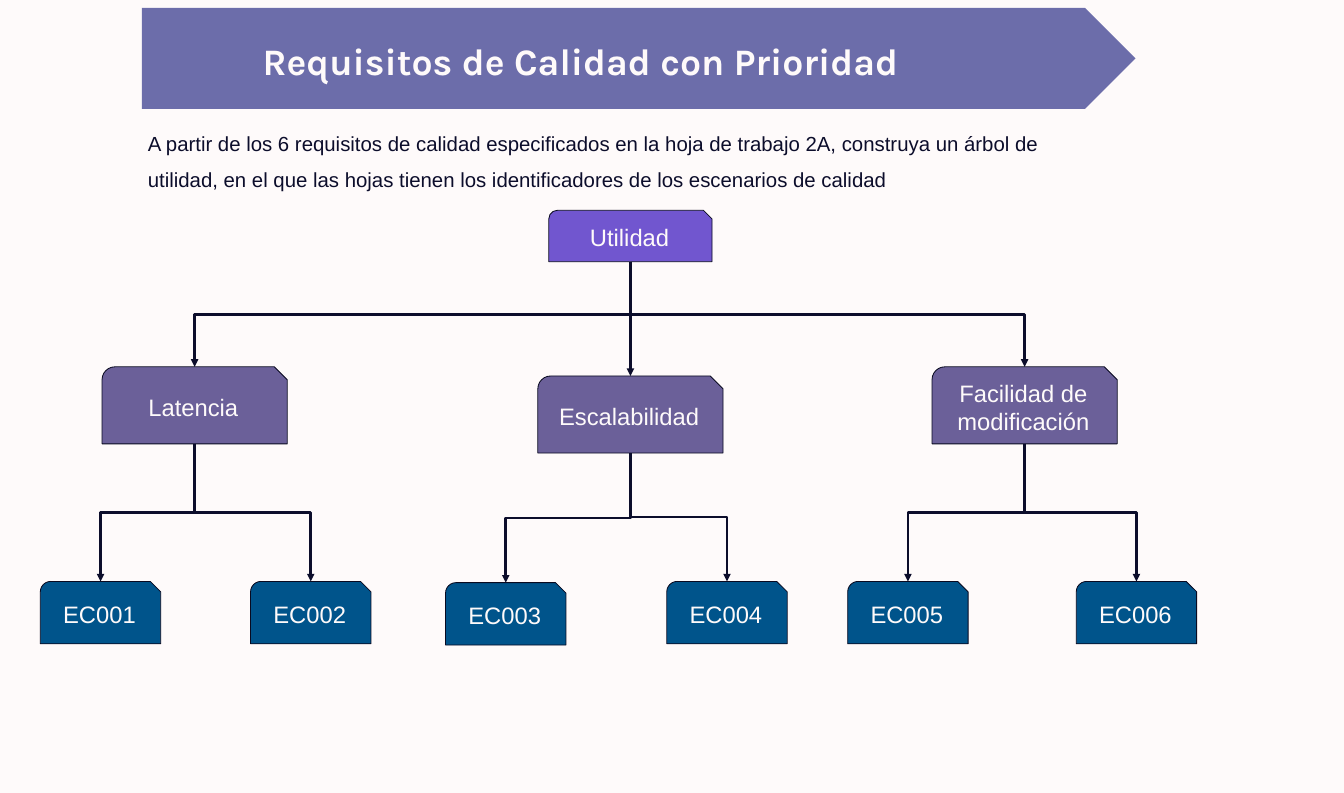
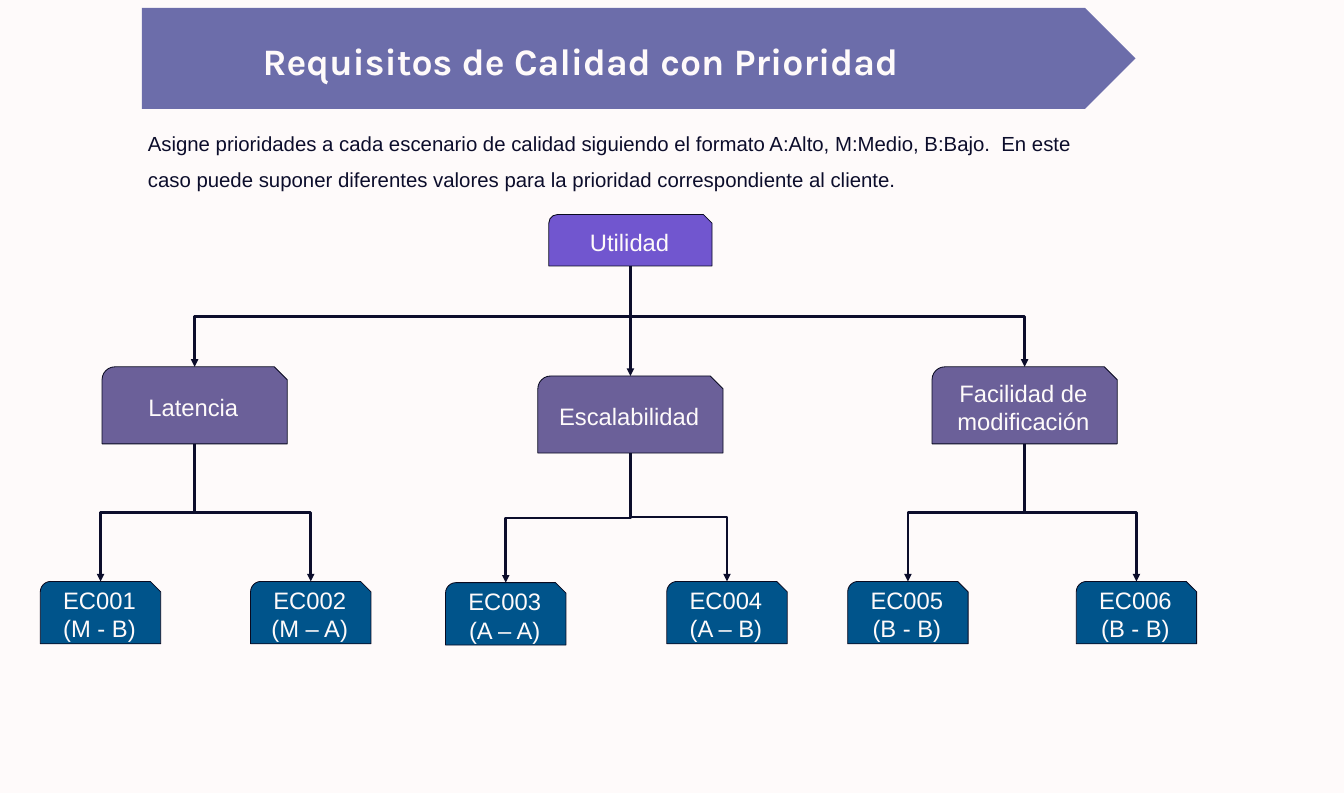
import lxml.etree
import pptx
import pptx.dml.color
import pptx.enum.shapes
import pptx.enum.text
import pptx.oxml.ns
import pptx.util

RGBColor = pptx.dml.color.RGBColor
MSO_SHAPE = pptx.enum.shapes.MSO_SHAPE
MSO_CONNECTOR = pptx.enum.shapes.MSO_CONNECTOR
qn = pptx.oxml.ns.qn

EMU_PER_PX = 9144  # 100 px to the inch
SLIDE_WIDTH, SLIDE_HEIGHT = 2199, 1297

# Colours and fonts
LIGHT = RGBColor(0xFE, 0xFA, 0xFA)
INK = RGBColor(0x0C, 0x0D, 0x2B)
OUTLINE = RGBColor(0x09, 0x0A, 0x20)
BAND = RGBColor(0x25, 0x28, 0x84)
ROOT_FILL = RGBColor(0x71, 0x56, 0xCF)
QUALITY_FILL = RGBColor(0x6B, 0x60, 0x99)
SCENARIO_FILL = RGBColor(0x00, 0x54, 0x8B)
BAND_OPACITY = 67
TITLE_FONT, BODY_FONT = "Karla", "Arial"

# Node sizes and connection sites of the snipped rectangle
ROOT_SIZE = (267, 84)
QUALITY_SIZE = (303, 126)
SCENARIO_SIZE = (197, 102)
BOTTOM_SITE, TOP_SITE = 1, 3

TITLE = "Requisitos de Calidad con Prioridad"

# Each quality: name, left, top, scenarios (name, left, top)
QUALITIES = [
    ("Latencia", 167, 600, [("EC001", 66, 951), ("EC002", 410, 951)]),
    ("Escalabilidad", 880, 615, [("EC003", 729, 953), ("EC004", 1091, 951)]),
    ("Facilidad de modificación", 1525, 600,
     [("EC005", 1387, 951), ("EC006", 1761, 951)]),
]
PRIORITIES = {
    "EC001": "(M - B)", "EC002": "(M – A)", "EC003": "(A – A)",
    "EC004": "(A – B)", "EC005": "(B - B)", "EC006": "(B - B)",
}

# Each slide: instruction, top of the root node, scenario priorities
SLIDES = [
    ("A partir de los 6 requisitos de calidad especificados en la hoja de "
     "trabajo 2A, construya un árbol de utilidad, en el que las hojas tienen "
     "los identificadores de los escenarios de calidad", 344, {}),
    ("Asigne prioridades a cada escenario de calidad siguiendo el formato "
     "A:Alto, M:Medio, B:Bajo.  En este caso puede suponer diferentes valores "
     "para la prioridad correspondiente al cliente.", 351, PRIORITIES),
]


def px(*lengths):
    return [pptx.util.Emu(length * EMU_PER_PX) for length in lengths]


def format_runs(paragraph, font_name, size, color, bold=False):
    for run in paragraph.runs:
        run.font.name = font_name
        run.font.size = pptx.util.Pt(size)
        run.font.color.rgb = color
        run.font.bold = bold


def add_text(slide, box, text, font_name, size, color, bold=False):
    text_frame = slide.shapes.add_textbox(*px(*box)).text_frame
    text_frame.word_wrap = True
    text_frame.text = text
    paragraph = text_frame.paragraphs[0]
    format_runs(paragraph, font_name, size, color, bold)
    return paragraph


def add_title_band(slide):
    band = slide.shapes.add_shape(MSO_SHAPE.PENTAGON, *px(232, 13, 1626, 165))
    band.shadow.inherit = False
    band.fill.solid()
    band.fill.fore_color.rgb = BAND
    band.line.fill.background()
    color = band.element.spPr.find(qn("a:solidFill")).find(qn("a:srgbClr"))
    alpha = lxml.etree.SubElement(color, qn("a:alpha"))
    alpha.set("val", str(BAND_OPACITY * 1000))
    add_text(slide, (420, 57, 1063, 84), TITLE, TITLE_FONT, 44, LIGHT, True)


def add_instruction(slide, text):
    paragraph = add_text(slide, (232, 189, 1542, 124), text, BODY_FONT, 24, INK)
    paragraph.line_spacing = 1.5
    paragraph.space_before = pptx.util.Pt(6)


def add_node(slide, left, top, size, fill, text):
    node = slide.shapes.add_shape(
        MSO_SHAPE.SNIP_ROUND_RECTANGLE, *px(left, top, *size))
    node.shadow.inherit = False
    node.fill.solid()
    node.fill.fore_color.rgb = fill
    node.line.color.rgb = OUTLINE
    node.line.width = pptx.util.Pt(1)
    node.text_frame.word_wrap = True
    node.text_frame.vertical_anchor = pptx.enum.text.MSO_ANCHOR.MIDDLE
    node.text_frame.text = text
    for paragraph in node.text_frame.paragraphs:
        paragraph.alignment = pptx.enum.text.PP_ALIGN.CENTER
        format_runs(paragraph, BODY_FONT, 28, LIGHT)
    return node


def turn_downwards(connector, start_x, start_y, end_x, end_y):
    """Rotate an elbow so that it leaves and arrives vertically."""
    drop, spread = end_y - start_y, abs(end_x - start_x)
    connector.left = (start_x + end_x - drop) // 2
    connector.top = (start_y + end_y - spread) // 2
    connector.width, connector.height = drop, spread
    frame = connector.element.spPr.find(qn("a:xfrm"))
    goes_right = end_x > start_x
    frame.set("rot", str((270 if goes_right else 90) * 60000))
    frame.set("flipH", "1" if goes_right else "0")
    frame.set("flipV", "0")


def connect(slide, parent, child):
    start = (parent.left + parent.width // 2, parent.top + parent.height)
    end = (child.left + child.width // 2, child.top)
    aligned = start[0] == end[0]
    kind = MSO_CONNECTOR.STRAIGHT if aligned else MSO_CONNECTOR.ELBOW
    connector = slide.shapes.add_connector(kind, *start, *end)
    connector.begin_connect(parent, BOTTOM_SITE)
    connector.end_connect(child, TOP_SITE)
    # Gluing shifts the ends, so place them again
    if aligned:
        connector.begin_x, connector.begin_y = start
        connector.end_x, connector.end_y = end
    else:
        turn_downwards(connector, *start, *end)
    connector.line.color.rgb = INK
    connector.line.width = pptx.util.Pt(3)
    properties = connector.element.spPr
    arrowhead = lxml.etree.SubElement(
        properties.find(qn("a:ln")), qn("a:tailEnd"))
    arrowhead.set("type", "triangle")
    lxml.etree.SubElement(properties, qn("a:effectLst"))


def add_utility_tree(slide, root_top, priorities):
    root = add_node(slide, 898, root_top, ROOT_SIZE, ROOT_FILL, "Utilidad")
    for name, left, top, scenarios in QUALITIES:
        quality = add_node(slide, left, top, QUALITY_SIZE, QUALITY_FILL, name)
        connect(slide, root, quality)
        for code, scenario_left, scenario_top in scenarios:
            label = f"{code}\n{priorities[code]}" if priorities else code
            scenario = add_node(slide, scenario_left, scenario_top,
                                SCENARIO_SIZE, SCENARIO_FILL, label)
            connect(slide, quality, scenario)


def main():
    presentation = pptx.Presentation()
    presentation.slide_width, presentation.slide_height = px(
        SLIDE_WIDTH, SLIDE_HEIGHT)
    background = presentation.slide_master.background.fill
    background.solid()
    background.fore_color.rgb = LIGHT
    blank_layout = presentation.slide_layouts[6]

    for instruction, root_top, priorities in SLIDES:
        slide = presentation.slides.add_slide(blank_layout)
        add_title_band(slide)
        add_instruction(slide, instruction)
        add_utility_tree(slide, root_top, priorities)

    presentation.save("out.pptx")


if __name__ == "__main__":
    main()
